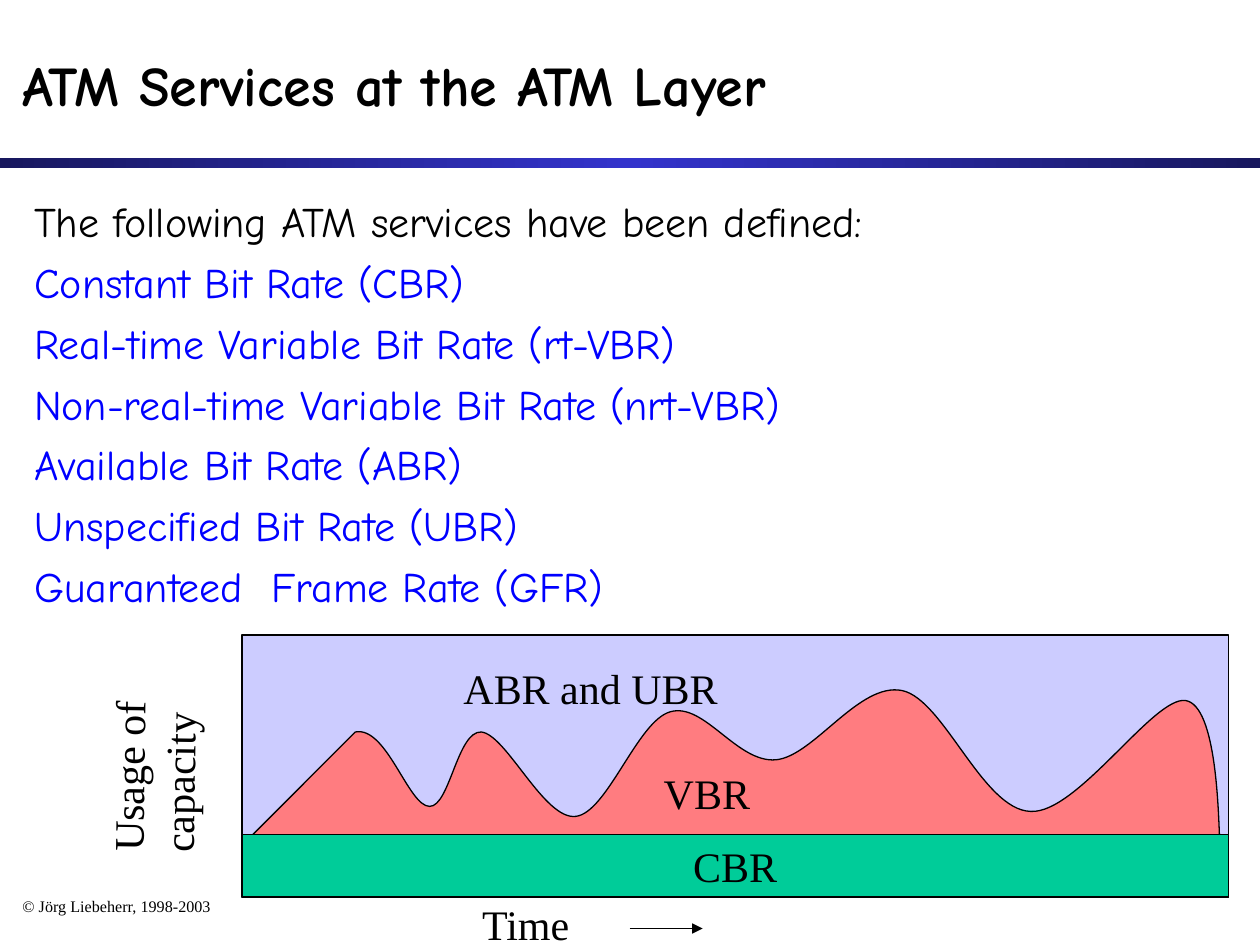
from lxml import etree
from pptx import Presentation, util as u
from pptx.dml.color import RGBColor
from pptx.enum import shapes, text
from pptx.oxml import ns

HEADING_FONT, LABEL_FONT = "Comic Neue", "Times New Roman"
SERVICES = [
    "Constant Bit Rate (CBR)",
    "Real-time Variable Bit Rate (rt-VBR)",
    "Non-real-time Variable Bit Rate (nrt-VBR)",
    "Available Bit Rate (ABR)",
    "Unspecified Bit Rate (UBR)",
    "Guaranteed  Frame Rate (GFR)",
]
# Percent of the chart box: two controls and an end point for each curve.
VBR_START = [(99.23, 78.8), (0, 80.3), (11.49, 37)]
VBR_CURVES = [
    [(14.69, 34.6), (16.86, 65.4), (19.03, 65.4)],
    [(21.07, 65.4), (21.84, 36.5), (24.27, 37)],
    [(26.82, 38), (30.65, 70.7), (33.84, 69.2)],
    [(37.04, 67.8), (40.1, 32.7), (43.42, 29.3)],
    [(46.87, 25.5), (50.19, 49), (54.15, 47.6)],
    [(57.98, 46.2), (62.58, 17.8), (66.92, 21.2)],
    [(71.14, 24.5), (75.1, 66.8), (79.95, 67.3)],
    [(84.67, 68.3), (92.46, 23.1), (95.66, 25)],
    [(98.85, 26.9), (98.98, 69.2), (99.11, 78.8)],
    [(99.23, 88), (97.06, 80.8), (96.42, 81.3)],
]


def colour(value):
    return RGBColor.from_string(value)


def inside(box, x, y, width, height):
    """Turn shares of a box in inches into a smaller box."""
    left, top, full_width, full_height = box
    return (left + x * full_width, top + y * full_height,
            width * full_width, height * full_height)


def emu(box):
    return [u.Inches(length) for length in box]


def write(para, words, size=24, font=LABEL_FONT, ink="000000", bold=False,
          align=text.PP_ALIGN.LEFT, before=0, spacing=None):
    span = para.add_run()
    span.text = words
    span.font.size, span.font.name, span.font.bold = u.Pt(size), font, bold
    span.font.color.rgb = colour(ink)
    para.alignment, para.space_before = align, u.Pt(before)
    para.line_spacing = spacing


def style(shape, fill, width):
    shape.shadow.inherit = False
    shape.fill.solid()
    shape.fill.fore_color.rgb = colour(fill)
    shape.line.color.rgb = colour("000000")
    shape.line.width = u.Pt(width)


def add_label(page, box, words, wrap=True, turn=0, **form):
    label = page.shapes.add_textbox(*emu(box))
    label.text_frame.word_wrap = wrap
    label.rotation = turn
    write(label.text_frame.paragraphs[0], words, **form)


def add_rectangle(page, box):
    return page.shapes.add_shape(shapes.MSO_SHAPE.RECTANGLE, *emu(box))


def add_rule(page, box):
    rule = add_rectangle(page, box)
    rule.shadow.inherit = False
    rule.line.fill.background()
    rule.fill.gradient()
    rule.fill.gradient_angle = 0
    stops = rule._element.spPr.find(ns.qn("a:gradFill")).find(ns.qn("a:gsLst"))
    for stop in list(stops):
        stops.remove(stop)
    for place_on_bar, value in ((0, "18185E"), (50000, "3333CC"), (100000, "18185E")):
        stop = etree.SubElement(stops, ns.qn("a:gs"), pos=str(place_on_bar))
        etree.SubElement(stop, ns.qn("a:srgbClr"), val=value)


def place(holder, box, anchor):
    holder.left, holder.top, holder.width, holder.height = emu(box)
    frame = holder.text_frame
    frame.word_wrap, frame.auto_size = True, text.MSO_AUTO_SIZE.NONE
    frame.vertical_anchor = anchor
    return frame


def add_title(page, box):
    frame = place(page.shapes.title, box, text.MSO_ANCHOR.MIDDLE)
    write(frame.paragraphs[0], "ATM Services at the ATM Layer",
          size=32, font=HEADING_FONT, bold=True)


def add_services(page, box):
    frame = place(page.placeholders[1], box, text.MSO_ANCHOR.TOP)
    lines = ["The following ATM services have been defined:"] + SERVICES
    for number, words in enumerate(lines):
        para = frame.add_paragraph() if number else frame.paragraphs[0]
        props = para._p.get_or_add_pPr()
        props.set("marL", str(u.Inches(0.38)))
        props.set("indent", str(u.Inches(-0.38)))
        etree.SubElement(props, ns.qn("a:buNone"))
        write(para, words, font=HEADING_FONT, before=6 if number else 0,
              ink="0000FF" if number else "000000")


def bend(shape, first):
    """Join each three line segments, from the given one on, into a cubic curve."""
    segments = list(shape._element.iter(ns.qn("a:lnTo")))[first:]
    for start in range(0, len(VBR_CURVES) * 3, 3):
        group = segments[start:start + 3]
        curve = etree.Element(ns.qn("a:cubicBezTo"))
        group[0].addprevious(curve)
        for segment in group:
            curve.append(segment[0])
            segment.getparent().remove(segment)


def add_vbr_area(page, box):
    outline = VBR_START + [point for curve in VBR_CURVES for point in curve]
    points = [emu(inside(box, x / 100, y / 100, 0, 0)[:2]) for x, y in outline]
    builder = page.shapes.build_freeform(*points[0])
    builder.add_line_segments(points[1:], close=True)
    area = builder.convert_to_shape()
    bend(area, len(VBR_START) - 1)
    style(area, "FF7C80", 0.75)


def add_time_arrow(page, box):
    left, top, width, _ = emu(box)
    arrow = page.shapes.add_connector(shapes.MSO_CONNECTOR.STRAIGHT,
                                      left, top, left + width, top)
    arrow.line.color.rgb = colour("000000")
    arrow.line.width = u.Pt(0.75)
    etree.SubElement(arrow.line._get_or_add_ln(), ns.qn("a:tailEnd"), type="triangle")
    etree.SubElement(arrow._element.spPr, ns.qn("a:effectLst"))


def add_capacity_chart(page, box):
    style(add_rectangle(page, box), "CCCCFF", 1)
    add_vbr_area(page, box)
    band = add_rectangle(page, inside(box, 0, 0.76, 1, 0.24))
    style(band, "00CC99", 0.75)
    band.text_frame.vertical_anchor = text.MSO_ANCHOR.MIDDLE
    band.text_frame.word_wrap = False
    write(band.text_frame.paragraphs[0], "CBR", align=text.PP_ALIGN.CENTER)
    add_label(page, inside(box, 0.212, 0.08, 0.32, 0.24), "ABR and UBR")
    add_label(page, inside(box, 0.415, 0.48, 0.32, 0.24), "VBR")
    add_label(page, inside(box, -0.207, 0.22, 0.234, 0.43), "Usage of capacity",
              turn=270.8)
    add_label(page, inside(box, 0.231, 0.98, 0.125, 0.24), "Time", wrap=False)
    add_time_arrow(page, inside(box, 0.393, 1.12, 0.074, 0))


def main():
    deck = Presentation()
    deck.slide_width, deck.slide_height = u.Inches(10), u.Inches(7.5)
    page = deck.slides.add_slide(deck.slide_layouts[1])
    add_rule(page, (0, 1.25, 10, 0.08))
    add_title(page, (0.08, 0.17, 9.83, 1))
    add_services(page, (0.17, 1.5, 9.75, 5.33))
    add_capacity_chart(page, (1.92, 5.04, 7.83, 2.08))
    add_label(page, (0.08, 7.08, 2.83, 0.25), "© Jörg Liebeherr, 1998-2003",
              size=9.2, spacing=0.9)
    deck.save("out.pptx")


if __name__ == "__main__":
    main()
